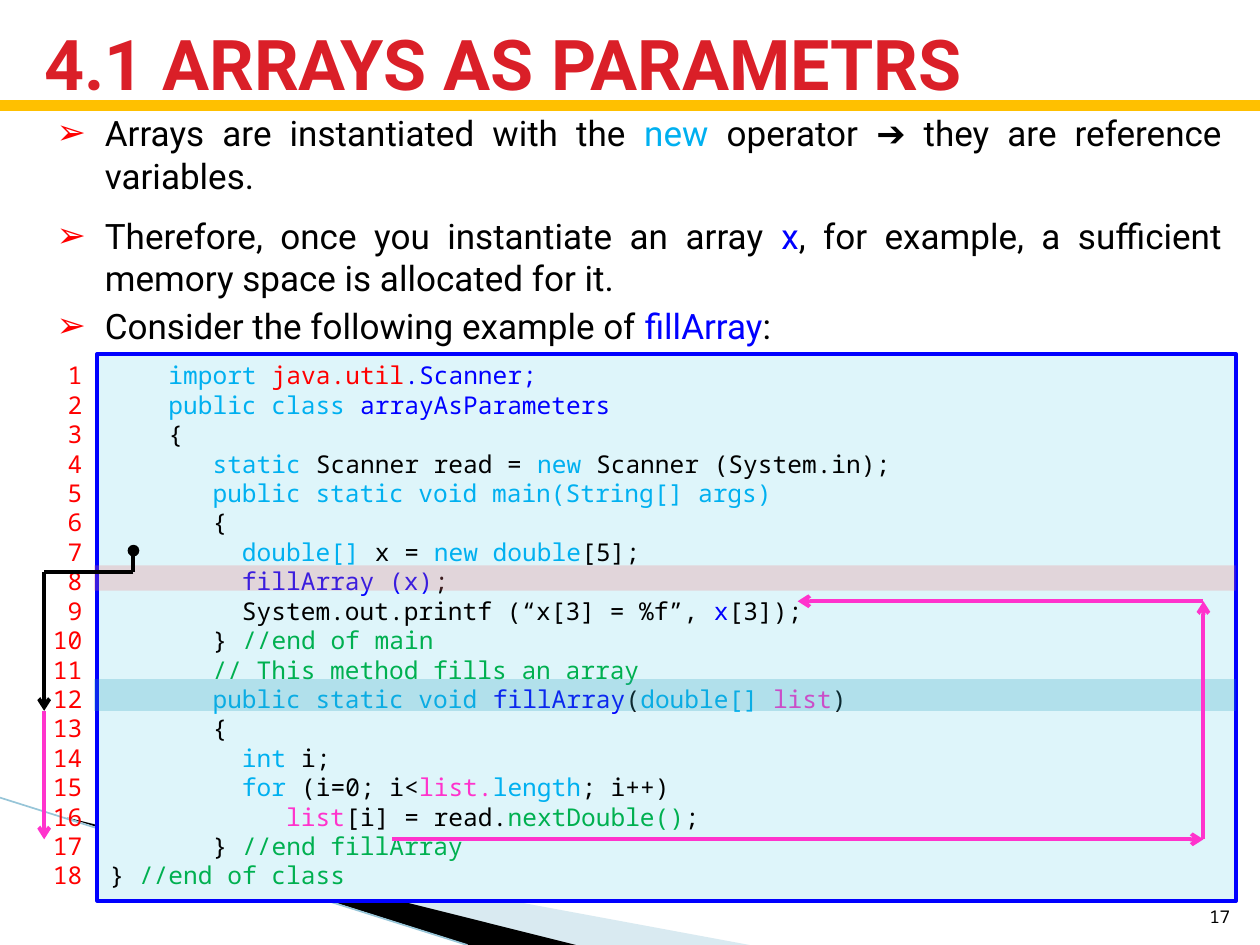
from lxml import etree
from pptx import Presentation
from pptx import util as u
from pptx.dml.color import RGBColor
from pptx.enum import shapes, text
from pptx.oxml import ns

Cm, Pt = u.Cm, u.Pt
SANS, MONO = "Roboto", "Noto Sans Mono"
BLACK, RED, BLUE, SKY = "000000", "FF0000", "0000FF", "00B0F0"
GREEN, PINK = "00B050", "FF33CC"

# Content: each line is a list of (text, colour)
TITLE = "4.1 ARRAYS AS PARAMETRS"
POINTS = [
    (0, [("Arrays are instantiated with the ", BLACK), ("new ", SKY),
         ("operator ➔ they are reference variables.", BLACK)]),
    (10.8, [("Therefore, once you instantiate an array ", BLACK), ("x", BLUE),
            (", for example, a sufficient memory space is allocated for it.", BLACK)]),
    (2.9, [("Consider the following example of ", BLACK), ("fillArray", BLUE),
           (":", BLACK)]),
]
CODE = [
    [("    import ", SKY), ("java.util", RED), (".Scanner;", BLUE)],
    [("    public class ", SKY), ("arrayAsParameters", BLUE)],
    [("    {", BLACK)],
    [("       static ", SKY), ("Scanner read = ", BLACK), ("new ", SKY),
     ("Scanner (System.in);", BLACK)],
    [("       public static void main(String[] args)", SKY)],
    [("       {", BLACK)],
    [("         double[] ", SKY), ("x = ", BLACK), ("new double", SKY),
     ("[5];", BLACK)],
    [("         fillArray (x)", BLUE), (";", BLACK)],
    [("         System.out.printf (“x[3] = %f”, ", BLACK), ("x", BLUE),
     ("[3]);", BLACK)],
    [("       } ", BLACK), ("//end of main", GREEN)],
    [("       // This method fills an array", GREEN)],
    [("       public static void ", SKY), ("fillArray", BLUE), ("(", BLACK),
     ("double[] ", SKY), ("list", PINK), (")", BLACK)],
    [("       {", BLACK)],
    [("         int ", SKY), ("i;", BLACK)],
    [("         for ", SKY), ("(i=0; i<", BLACK), ("list.", PINK),
     ("length", SKY), ("; i++)", BLACK)],
    [("            list", PINK), ("[i] = read.", BLACK),
     ("nextDouble()", GREEN), (";", BLACK)],
    [("       }", BLACK), (" //end fillArray", GREEN)],
    [("} ", BLACK), ("//end of class", GREEN)],
]

# Places in cm
TOP, TALL = 7.14, 11.02
WINGS = [
    ([(1.4, 16.51), (15.11, 19.05), (11.58, 19.05)], "A0CBDC", 40),
    ([(1.35, 16.48), (11.61, 19.05), (9.45, 19.05)], BLACK, 100),
]
BANDS = [(13.69, 0.64, "2DA2BF"), (11.4, 0.51, "EC767C")]
CALL = [(2.69, 11.53), (0.89, 11.53), (0.89, 14.33), (0.89, 16.92)]
BACK = [(7.9, 16.92), (24.26, 16.92), (24.26, 12.12), (16.08, 12.12)]
LINKS = [
    (CALL[0], (2.69, 11.1), BLACK, "oval"),
    (CALL[0], CALL[1], BLACK, None),
    (CALL[1], CALL[2], BLACK, "arrow"),
    (CALL[2], CALL[3], PINK, "arrow"),
] + [(a, b, PINK, "arrow") for a, b in zip(BACK, BACK[1:])]

deck = Presentation()
deck.slide_width, deck.slide_height = Cm(25.4), Cm(19.05)
slide = deck.slides.add_slide(deck.slide_layouts[1])
items = slide.shapes


def rgb(code):
    return RGBColor.from_string(code)


def sub(node, tag, **attrs):
    return etree.SubElement(node, ns.qn("a:" + tag), attrs)


def place(shape, *box):
    shape.left, shape.top, shape.width, shape.height = map(Cm, box)


def paint(shape, color, alpha=100):
    shape.shadow.inherit = False
    shape.fill.solid()
    shape.fill.fore_color.rgb = rgb(color)
    shape.line.fill.background()
    if alpha < 100:
        tint = shape.fill._xPr.find(".//" + ns.qn("a:srgbClr"))
        sub(tint, "alpha", val=str(alpha * 1000))


def link(start, end, color, width=2.25, tail=None):
    line = items.add_connector(shapes.MSO_CONNECTOR.STRAIGHT,
                               *map(Cm, start + end))
    line.line.color.rgb = rgb(color)
    line.line.width = Pt(width)
    if tail:
        sub(line.line._get_or_add_ln(), "tailEnd", type=tail)
    sub(line._element.spPr, "effectLst")


def style(para, font, size, align=text.PP_ALIGN.LEFT, color=None):
    para.alignment = align
    para.font.name, para.font.size = font, Pt(size)
    if color:
        para.font.color.rgb = rgb(color)


def write(para, runs):
    for words, color in runs:
        run = para.add_run()
        run.text = words
        run.font.color.rgb = rgb(color)


def lines(frame, count):
    return [frame.paragraphs[0]] + [frame.add_paragraph()
                                    for _ in range(count - 1)]


# Corner decoration and rule below the title
for points, color, alpha in WINGS:
    path = [(Cm(x), Cm(y)) for x, y in points]
    pen = items.build_freeform(*path[0])
    pen.add_line_segments(path[1:])
    paint(pen.convert_to_shape(), color, alpha)
link((0, 16.08), (9.42, 19.05), "97C5D8", 0.95)
link((0, 2.13), (25.4, 2.13), "FFC000", 6)

# Title
head = items.title
place(head, 0.64, 0.43, 24.05, 1.65)
frame = head.text_frame
frame.text = TITLE
frame.auto_size = text.MSO_AUTO_SIZE.NONE
frame.vertical_anchor = text.MSO_ANCHOR.MIDDLE
style(frame.paragraphs[0], SANS, 40, color="DA1F28")
frame.paragraphs[0].font.bold = True

# Bullets
body = slide.placeholders[1]
place(body, 0.89, 2.13, 24, 4.9)
body.text_frame.auto_size = text.MSO_AUTO_SIZE.NONE
for para, (gap, runs) in zip(lines(body.text_frame, len(POINTS)), POINTS):
    para.space_before = Pt(gap)
    props = para._p.get_or_add_pPr()
    props.set("marL", str(Cm(0.97)))
    props.set("indent", str(-Cm(0.97)))
    sub(sub(props, "buClr"), "srgbClr", val=RED)
    sub(props, "buChar", char="➢")
    style(para, SANS, 20, text.PP_ALIGN.JUSTIFY)
    write(para, runs)

# Code panel
panel = items.add_shape(shapes.MSO_SHAPE.RECTANGLE,
                        *map(Cm, (1.96, TOP, 22.96, TALL)))
paint(panel, "DEF5FA")
panel.line.color.rgb = rgb(BLUE)
panel.line.width = Pt(2.25)
panel.text_frame.vertical_anchor = text.MSO_ANCHOR.TOP
for para, runs in zip(lines(panel.text_frame, len(CODE)), CODE):
    para.line_spacing = Pt(16.8)
    style(para, MONO, 14)
    write(para, runs)

# Line numbers
side = items.add_textbox(*map(Cm, (0.51, TOP, 1.4, TALL))).text_frame
side.word_wrap = True
for num, para in enumerate(lines(side, len(CODE)), 1):
    para.line_spacing = Pt(16.8)
    style(para, MONO, 14, text.PP_ALIGN.RIGHT, RED)
    para.add_run().text = str(num)

# Highlight bands and call arrows
for top, tall, color in BANDS:
    band = items.add_shape(shapes.MSO_SHAPE.RECTANGLE,
                           *map(Cm, (1.9, top, 23.01, tall)))
    paint(band, color, 25)
for start, end, color, tail in LINKS:
    link(start, end, color, tail=tail)

# Page number
page = items.add_textbox(*map(Cm, (24.03, 17.8, 1.02, 1.02))).text_frame
page.word_wrap = True
page.vertical_anchor = text.MSO_ANCHOR.BOTTOM
page.text = "17"
style(page.paragraphs[0], MONO, 10, text.PP_ALIGN.RIGHT, BLACK)

deck.save("out.pptx")
